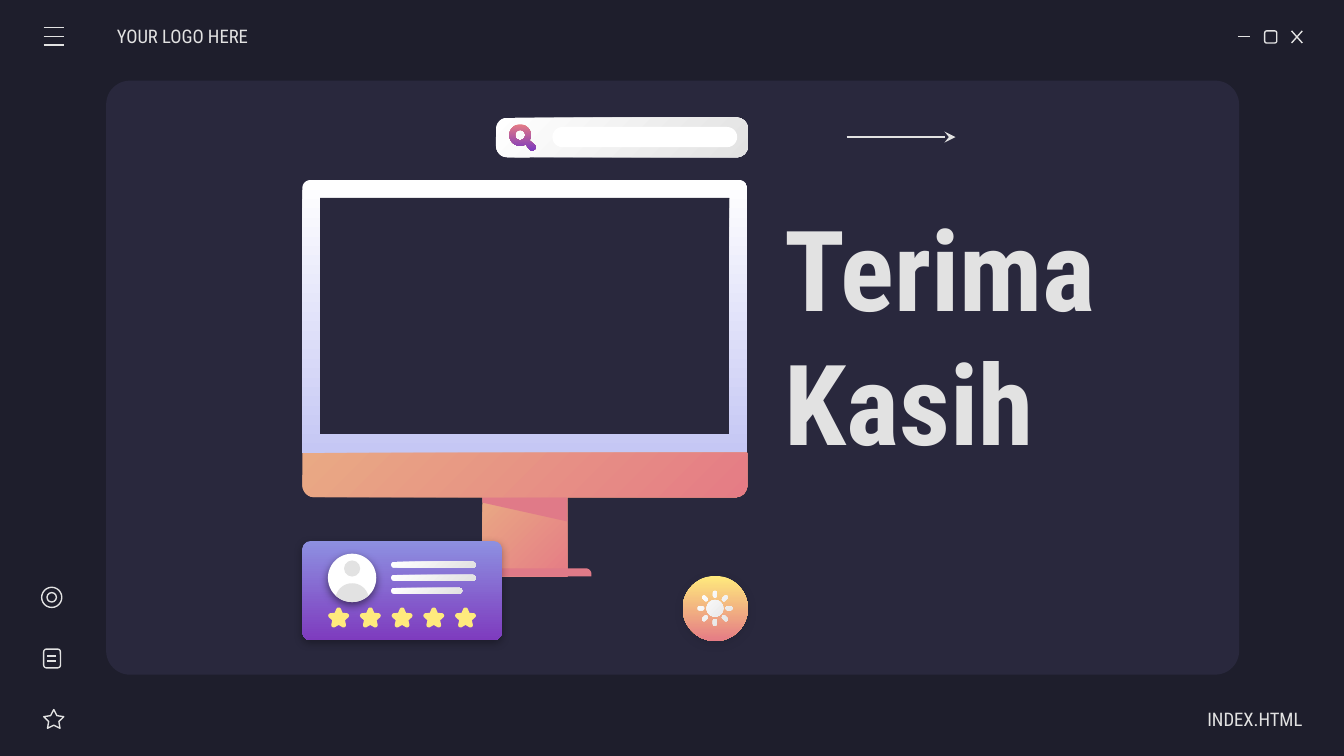
import math
import lxml.etree
import pptx
import pptx.dml.color
import pptx.enum.shapes
import pptx.enum.text
import pptx.oxml.ns
import pptx.util

RGB = pptx.dml.color.RGBColor
KIND = pptx.enum.shapes.MSO_SHAPE
ALIGN = pptx.enum.text.PP_ALIGN
qn = pptx.oxml.ns.qn

NIGHT = RGB(0x1E, 0x1E, 0x2C)
PANEL = RGB(0x29, 0x28, 0x3D)
GREY = RGB(0xE2, 0xE2, 0xE2)
WHITE = RGB(0xFF, 0xFF, 0xFF)
BLACK = RGB(0x00, 0x00, 0x00)
LILAC = RGB(0xC5, 0xC7, 0xF4)
PEACH = RGB(0xE9, 0xA9, 0x84)
CORAL = RGB(0xE5, 0x7C, 0x85)
ROSE = RGB(0xE0, 0x7A, 0x88)
BLUE = RGB(0x8D, 0x90, 0xE1)
PURPLE = RGB(0x7E, 0x3B, 0xBE)
YELLOW = RGB(0xFF, 0xEA, 0x7D)

SILVER = (WHITE, GREY, 45)
SUNSET = (PEACH, CORAL, 45)
COLS, ROWS = 100, 56.25


class Deck:
    """Draws styled elements on one slide, measured in grid columns and rows."""

    font = "Roboto Condensed"
    stroke = 0.75

    def __init__(self):
        self.prs = pptx.Presentation()
        self.prs.slide_width = pptx.util.Inches(10)
        self.prs.slide_height = pptx.util.Inches(5.625)
        self.s = self.prs.slides.add_slide(self.prs.slide_layouts[6])
        self.s.background.fill.solid()
        self.s.background.fill.fore_color.rgb = NIGHT

    def x(self, cols):
        return round(self.prs.slide_width * cols / COLS)

    def y(self, rows):
        return round(self.prs.slide_height * rows / ROWS)

    def place(self, left, top, width, height):
        return self.x(left), self.y(top), self.x(width), self.y(height)

    def pen(self, line):
        line.color.rgb = GREY
        line.width = pptx.util.Pt(self.stroke)

    def paint(self, sp, fill, shadow=None):
        sp.shadow.inherit = False
        if fill is None:
            sp.fill.background()
            self.pen(sp.line)
            return
        sp.line.fill.background()
        if isinstance(fill, RGB):
            sp.fill.solid()
            sp.fill.fore_color.rgb = fill
        else:
            first, last, angle = fill
            sp.fill.gradient()
            sp.fill.gradient_angle = 360 - angle
            for stop, color in zip(sp.fill.gradient_stops, (first, last)):
                stop.color.rgb = color
        if shadow:
            color, alpha = shadow
            effects = sp.element.spPr.find(qn("a:effectLst"))
            outer = lxml.etree.SubElement(
                effects, qn("a:outerShdw"), blurRad="57150", dist="19050", dir="5400000",
                algn="bl", rotWithShape="0")
            tint = lxml.etree.SubElement(outer, qn("a:srgbClr"), val=str(color))
            lxml.etree.SubElement(tint, qn("a:alpha"), val=str(alpha * 1000))

    def shape(self, kind, box, fill=None, adj=None, shadow=None):
        sp = self.s.shapes.add_shape(kind, *self.place(*box))
        if adj is not None:
            sp.adjustments[0] = adj
        self.paint(sp, fill, shadow)

    def free(self, contours, fill):
        builder = None
        for contour in contours:
            pts = [(self.x(px), self.y(py)) for px, py in contour]
            if builder is None:
                builder = self.s.shapes.build_freeform(*pts[0])
            else:
                builder.move_to(*pts[0])
            builder.add_line_segments(pts[1:], close=True)
        self.paint(builder.convert_to_shape(), fill)

    def line(self, x1, y1, x2, y2, arrow=False):
        c = self.s.shapes.add_connector(
            pptx.enum.shapes.MSO_CONNECTOR.STRAIGHT,
            self.x(x1), self.y(y1), self.x(x2), self.y(y2))
        self.pen(c.line)
        spPr = c.element.spPr
        if arrow:
            lxml.etree.SubElement(spPr.find(qn("a:ln")), qn("a:tailEnd"), type="stealth")
        lxml.etree.SubElement(spPr, qn("a:effectLst"))

    def text(self, words, box, size, bold=False, align=ALIGN.LEFT, left=1, right=1):
        tf = self.s.shapes.add_textbox(*self.place(*box)).text_frame
        frame = {"word_wrap": True, "vertical_anchor": pptx.enum.text.MSO_ANCHOR.MIDDLE,
                 "margin_left": self.x(left), "margin_right": self.x(right),
                 "margin_top": self.y(1), "margin_bottom": self.y(1)}
        for key, value in frame.items():
            setattr(tf, key, value)
        p = tf.paragraphs[0]
        p.text, p.alignment = words, align
        for r in p.runs:
            for key, value in {"name": self.font, "size": pptx.util.Pt(size), "bold": bold}.items():
                setattr(r.font, key, value)
            r.font.color.rgb = GREY


def polar(cx, cy, r, angle):
    a = math.radians(angle)
    return cx + r * math.cos(a), cy + r * math.sin(a)


def arc(cx, cy, r, start, end, steps=16):
    return [polar(cx, cy, r, start + (end - start) * i / steps) for i in range(steps + 1)]


def ray(cx, cy, angle):
    outer, inner = polar(cx, cy, 1.15, angle), polar(cx, cy, 0.95, angle)
    return arc(*outer, 0.15, angle - 90, angle + 90) + arc(*inner, 0.15, angle + 90, angle + 270)


def star(cx, cy):
    profile = ((-12, 0.74), (-5, 0.8), (5, 0.8), (12, 0.74), (36, 0.5))
    return [polar(cx, cy, r, 72 * k - 90 + turn) for k in range(5) for turn, r in profile]


def draw_window(d):
    d.shape(KIND.ROUNDED_RECTANGLE, (7.9, 6, 84.3, 44.2), PANEL, 0.04)
    d.line(92.1, 2.7, 93, 2.7)
    d.shape(KIND.ROUNDED_RECTANGLE, (94.1, 2.3, 0.9, 0.9), adj=0.167)
    d.line(96.1, 2.3, 96.9, 3.2)
    d.line(96.9, 2.3, 96.1, 3.2)
    for row in (2.05, 2.7, 3.35):
        d.line(3.25, row, 4.75, row)
    d.shape(KIND.STAR_5_POINT, (3.25, 52.8, 1.5, 1.4), adj=0.254)
    d.shape(KIND.ROUNDED_RECTANGLE, (3.25, 48.3, 1.25, 1.4), adj=0.167)
    for row in (48.8, 49.2):
        d.line(3.5, row, 4.2, row)
    for inset in (0, 0.4):
        size = 1.5 - 2 * inset
        d.shape(KIND.OVAL, (3.1 + inset, 43.7 + inset, size, size))
    d.text("YOUR LOGO HERE", (8.7, 1.2, 11.7, 3), 10, left=0)
    d.text("INDEX.HTML", (85.2, 52, 11.7, 3), 10, align=ALIGN.RIGHT, right=0)
    d.text("Terima\vKasih", (57.4, 11.8, 41.5, 26.1), 60, bold=True)
    d.line(63, 10.2, 71.1, 10.2, arrow=True)


def draw_monitor(d):
    left, right = 22.5, 55.6
    frame = arc(left + 0.6, 14, 0.6, 180, 270) + arc(right - 0.6, 14, 0.6, 270, 360)
    screen = [(23.8, 14.7), (23.8, 32.3), (54.3, 32.3), (54.3, 14.7)]
    d.free([frame + [(right, 33.7), (left, 33.7)], screen], (WHITE, LILAC, 90))
    chin = arc(right - 0.9, 36.1, 0.9, 0, 90) + arc(left + 0.9, 36.1, 0.9, 90, 180)
    d.free([[(left, 33.7), (right, 33.7)] + chin], SUNSET)
    d.shape(KIND.RECTANGLE, (35.9, 37, 6.3, 5.9), SUNSET)
    foot = arc(34.5, 42.7, 0.4, 180, 270) + arc(43.6, 42.7, 0.4, 270, 360)
    d.free([foot + [(44, 42.9), (34.1, 42.9)]], ROSE)
    d.free([[(35.9, 37), (35.9, 37.4), (42.2, 38.8), (42.2, 37)]], ROSE)


def draw_review(d):
    d.shape(KIND.ROUNDED_RECTANGLE, (22.5, 40.25, 14.85, 7.4), (BLUE, PURPLE, 90), 0.086, (BLACK, 30))
    d.shape(KIND.OVAL, (24.4, 41.2, 3.6, 3.6), WHITE, shadow=(BLACK, 50))
    d.shape(KIND.OVAL, (25.6, 41.7, 1.2, 1.2), GREY)
    d.free([arc(26.2, 44.65, 1.25, 195, 345) + arc(26.2, 43, 1.8, 45, 135)], GREY)
    for i in range(5):
        d.free([star(25.2 + 2.36 * i, 46)], YELLOW)
    for i, width in enumerate((6.3, 6.3, 5.3)):
        d.shape(KIND.ROUNDED_RECTANGLE, (29.1, 41.8 + 0.97 * i, width, 0.45), SILVER, 0.5)


def draw_sun(d):
    d.shape(KIND.OVAL, (50.8, 42.85, 4.85, 4.85), (YELLOW, CORAL, 90), shadow=(NIGHT, 30))
    cx, cy = 53.2, 45.27
    d.free([arc(cx, cy, 0.62, 0, 360, 40)] + [ray(cx, cy, 45 * k) for k in range(8)], SILVER)


def draw_search(d):
    d.shape(KIND.ROUNDED_RECTANGLE, (36.9, 8.75, 18.75, 2.95), SILVER, 0.286)
    glass = arc(38.7, 10.05, 0.8, 60, 390, 40) + arc(39.6, 10.95, 0.25, -45, 135)
    d.free([glass, arc(38.7, 10.05, 0.38, 360, 0, 32)], (CORAL, PURPLE, 90))
    d.shape(KIND.ROUNDED_RECTANGLE, (41.1, 9.45, 13.75, 1.5), WHITE, 0.5)


def main():
    d = Deck()
    for draw in (draw_window, draw_monitor, draw_review, draw_sun, draw_search):
        draw(d)
    d.prs.save("out.pptx")


if __name__ == "__main__":
    main()
